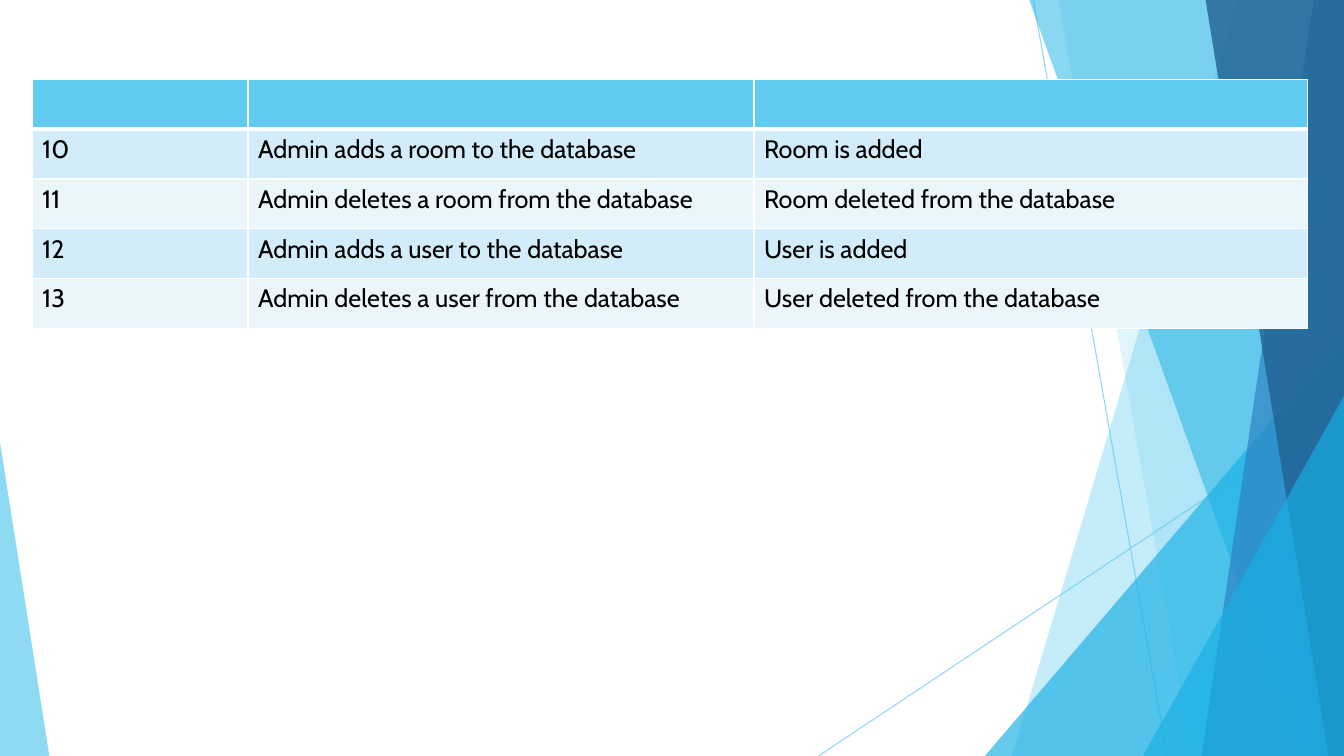
from lxml.etree import SubElement
from pptx import Presentation
from pptx.dml.color import RGBColor
from pptx.enum.shapes import MSO_CONNECTOR, MSO_SHAPE
from pptx.oxml.ns import qn
from pptx.util import Inches, Pt

WHITE = RGBColor(0xFF, 0xFF, 0xFF)
BLACK = RGBColor(0x00, 0x00, 0x00)
SKY = RGBColor(0x5F, 0xCB, 0xEF)
CYAN = RGBColor(0x17, 0xB0, 0xE4)
BLUE = RGBColor(0x2E, 0x83, 0xC3)
NAVY = RGBColor(0x22, 0x62, 0x92)
PALE = RGBColor(0xD2, 0xEC, 0xF9)
MIST = RGBColor(0xEA, 0xF6, 0xFC)


class Deck:
    """Draws on one slide, with lengths in percent of its width and height."""

    def __init__(self):
        self.show = Presentation()
        self.show.slide_width = Inches(13.33)
        self.show.slide_height = Inches(7.5)
        self.slide = self.show.slides.add_slide(self.show.slide_layouts[6])
        self.shapes = self.slide.shapes
        self.font = "Cabin"
        self.size = Pt(18)

    def across(self, share):
        return round(self.show.slide_width * share / 100)

    def down(self, share):
        return round(self.show.slide_height * share / 100)

    def fade(self, fill, alpha):
        color = fill.find(".//" + qn("a:srgbClr"))
        SubElement(color, qn("a:alpha"), val=str(alpha * 1000))

    def paint(self, shape, color, alpha):
        shape.shadow.inherit = False
        shape.fill.solid()
        shape.fill.fore_color.rgb = color
        shape.line.fill.background()
        self.fade(shape.element.spPr.find(qn("a:solidFill")), alpha)

    def line(self, x1, y1, x2, y2, color, alpha):
        line = self.shapes.add_connector(
            MSO_CONNECTOR.STRAIGHT,
            self.across(x1), self.down(y1), self.across(x2), self.down(y2))
        line.line.color.rgb = color
        line.line.width = Pt(0.75)
        props = line.element.spPr
        self.fade(props.find(qn("a:ln")), alpha)
        SubElement(props, qn("a:effectLst"))

    def panel(self, top, foot, color, alpha):
        corners = [(100, 0), (100, 100), (foot, 100)]
        form = self.shapes.build_freeform(self.across(top), 0, scale=1)
        form.add_line_segments(
            [(self.across(x), self.down(y)) for x, y in corners], close=True)
        self.paint(form.convert_to_shape(), color, alpha)

    def wedge(self, left, top, width, peak, color, alpha):
        wedge = self.shapes.add_shape(
            MSO_SHAPE.ISOSCELES_TRIANGLE, self.across(left), self.down(top),
            self.across(width), self.down(100 - top))
        wedge.adjustments[0] = peak
        self.paint(wedge, color, alpha)

    def border(self, cell, side, width):
        edge = SubElement(cell._tc.get_or_add_tcPr(), qn("a:ln" + side),
                          w=str(Pt(width)))
        fill = SubElement(edge, qn("a:solidFill"))
        SubElement(fill, qn("a:srgbClr"), val=str(WHITE))

    def cell(self, cell, text, color, top, foot):
        for side, width in zip("LRTB", (1, 1, top, foot)):
            self.border(cell, side, width)
        cell.fill.solid()
        cell.fill.fore_color.rgb = color
        cell.text_frame.text = text
        font = cell.text_frame.paragraphs[0].font
        for run in cell.text_frame.paragraphs[0].runs:
            font = run.font
        font.name = self.font
        font.size = self.size
        font.color.rgb = BLACK

    def table(self, left, top, widths, height, rows):
        table = self.shapes.add_table(
            len(rows), len(widths), self.across(left), self.down(top),
            self.across(sum(widths)), self.down(height * len(rows))).table
        for col, width in zip(table.columns, widths):
            col.width = self.across(width)
        for i, row in enumerate(rows):
            table.rows[i].height = self.down(height)
            color = SKY if i == 0 else (MIST, PALE)[i % 2]
            for j, text in enumerate(row):
                self.cell(table.cell(i, j), text, color,
                          3 if i == 1 else 1, 3 if i == 0 else 1)


def main():
    deck = Deck()
    deck.line(76.88, 0, 86.85, 100, SKY, 70)
    deck.line(100, 53.73, 60.9, 100, SKY, 70)
    deck.panel(92.1, 75.3, SKY, 36)
    deck.panel(78.75, 88.73, SKY, 20)
    deck.wedge(73.28, 44.4, 26.72, 1, CYAN, 66)
    deck.panel(76.58, 96.83, CYAN, 50)
    deck.panel(97.73, 89.4, BLUE, 70)
    deck.panel(89.7, 98.85, NAVY, 80)
    deck.wedge(85.05, 52.4, 14.95, 1, CYAN, 66)
    deck.wedge(0, 58.53, 3.67, 0, SKY, 70)
    deck.table(2.4, 10.5, (16.05, 37.65, 41.18), 6.59, [
        ("", "", ""),
        ("10", "Admin adds a room to the database", "Room is added"),
        ("11", "Admin deletes a room from the database",
         "Room deleted from the database"),
        ("12", "Admin adds a user to the database", "User is added"),
        ("13", "Admin deletes a user from the database",
         "User deleted from the database"),
    ])
    deck.show.save("out.pptx")


if __name__ == "__main__":
    main()
